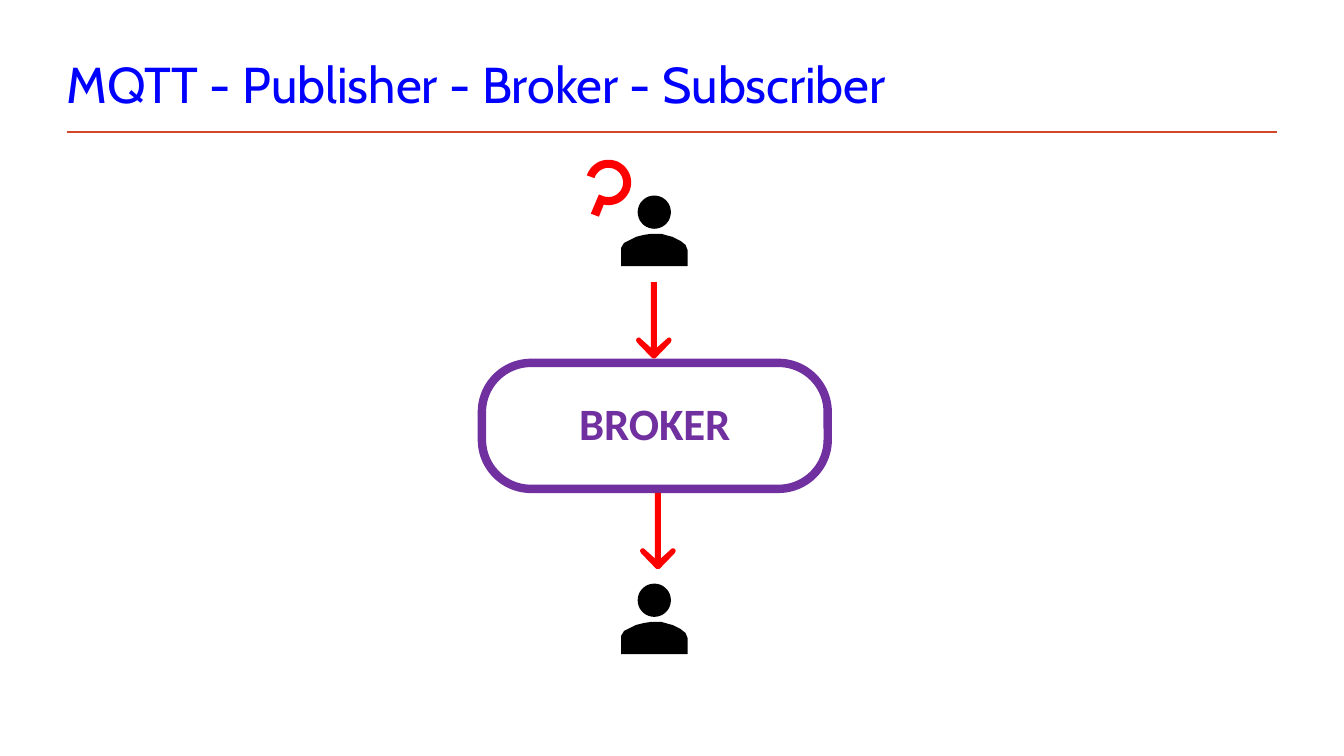
from math import cos, radians, sin
from lxml.etree import SubElement
from pptx import Presentation
from pptx.dml.color import RGBColor
from pptx.enum.shapes import MSO_CONNECTOR as LINK, MSO_SHAPE as SHAPE
from pptx.enum.text import MSO_ANCHOR as ANCHOR, PP_ALIGN as ALIGN
from pptx.oxml.ns import qn
from pptx.util import Pt

PX = 9144  # 100 px to the inch
BLUE = RGBColor(0x00, 0x00, 0xFF)
RUST = RGBColor(0xD2, 0x47, 0x26)
PURPLE = RGBColor(0x70, 0x30, 0xA0)
RED = RGBColor(0xFF, 0x00, 0x00)
BLACK = RGBColor(0x00, 0x00, 0x00)

deck = Presentation()
deck.slide_width, deck.slide_height = 1333 * PX, 750 * PX
slide = deck.slides.add_slide(deck.slide_layouts[6])
shapes = slide.shapes


def paint(shape, color):
    shape.shadow.inherit = False
    shape.fill.solid()
    shape.fill.fore_color.rgb = color
    shape.line.fill.background()


def trace(rings, color):
    """Fill closed outlines as one shape, exact to a tenth of a px."""
    rings = [[(x * 10, y * 10) for x, y in ring] for ring in rings]
    pen = shapes.build_freeform(*rings[0][0], scale=PX / 10)
    for ring in rings:
        if ring is not rings[0]:
            pen.move_to(*ring[0])
        pen.add_line_segments(ring[1:])
    paint(pen.convert_to_shape(), color)


# Title and rule
rule = shapes.add_connector(LINK.STRAIGHT, 66 * PX, 131 * PX, 1267 * PX, 131 * PX)
rule.line.color.rgb = RUST
rule.line.width = Pt(2)
SubElement(rule._element.spPr, qn("a:effectLst"))
title = shapes.add_textbox(66 * PX, 51 * PX, 818 * PX, 63 * PX)
frame = title.text_frame
frame.word_wrap = True
frame.margin_left = frame.margin_right = frame.margin_bottom = 0
frame.margin_top = 2 * PX
for part in ("MQTT - Publisher - Broker - ", "Subscriber"):
    run = frame.paragraphs[0].add_run()
    run.text = part
    run.font.name = "Cabin"
    run.font.size = Pt(36)
    run.font.color.rgb = BLUE
frame.paragraphs[0].runs[1]._r.get_or_add_rPr().set("spc", "-10")

# Broker
broker = shapes.add_shape(SHAPE.ROUNDED_RECTANGLE, 478 * PX, 360 * PX, 343 * PX, 125 * PX)
broker.adjustments[0] = 0.39
broker.shadow.inherit = False
broker.fill.background()
broker.line.color.rgb = PURPLE
broker.line.width = Pt(6)
frame = broker.text_frame
frame.vertical_anchor = ANCHOR.MIDDLE
frame.margin_top, frame.margin_bottom = 0, 6 * PX
frame.paragraphs[0].alignment = ALIGN.CENTER
run = frame.paragraphs[0].add_run()
run.text = "BROKER"
run.font.name = "Calibri"
run.font.size = Pt(32)
run.font.bold = True
run.font.color.rgb = PURPLE
run._r.get_or_add_rPr().set("spc", "-10")

# Publisher above, subscriber below: head and shoulders
BODY = [(66, 54), (64, 49), (59, 45), (55, 43), (51, 41), (47, 40), (40, 38),
        (33, 38), (30, 38), (23, 39), (15, 41), (11, 43), (7, 45), (3, 47),
        (0, 52), (0, 70), (66, 70), (66, 54)]
for top in (194, 579):
    ring = [(649 + 16.5 * cos(radians(a)), top + 16.5 + 16.5 * sin(radians(a)))
            for a in range(0, 361, 10)]
    trace([ring, [(616 + x, top + y) for x, y in BODY]], BLACK)

# Question mark: a hook between two arcs, with a stem
hook = [(594, 215), (586, 212), (594, 193)]
for size, turns in ((14.5, range(113, -166, -6)), (22.5, range(-162, 103, 6))):
    hook += [(603.5 + size * cos(radians(a)), 181 + size * sin(radians(a))) for a in turns]
trace([hook + hook[:1]], RED)

# Arrows into and out of the broker, with rounded barbs
HALF = [(3, 0), (3, 65), (13, 56), (14, 55), (15, 55), (16, 55), (17, 56),
        (17.5, 57), (17.5, 58), (17, 59), (16.5, 60), (2, 75), (1, 75.5)]
ARROW = HALF + [(-x, y) for x, y in reversed(HALF)] + HALF[:1]
trace([[(x + left, y + top) for x, y in ARROW]
       for left, top in ((648.5, 280), (652.5, 489))], RED)

deck.save("out.pptx")
